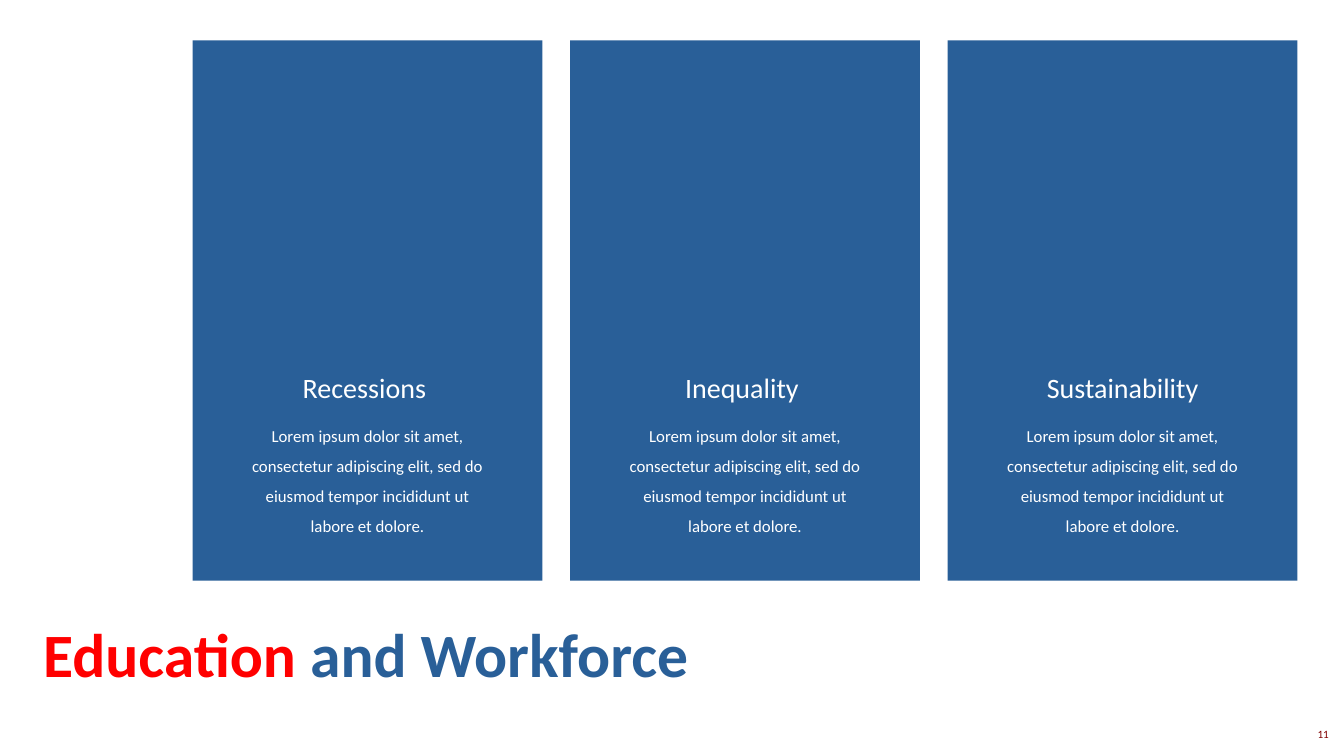
from dataclasses import dataclass

from pptx import Presentation
from pptx.dml.color import RGBColor
from pptx.enum.shapes import MSO_SHAPE
from pptx.enum.text import MSO_AUTO_SIZE, PP_ALIGN
from pptx.util import Inches, Pt

RECT = MSO_SHAPE.RECTANGLE
GROW = MSO_AUTO_SIZE.SHAPE_TO_FIT_TEXT
LEFT, MID, RIGHT = PP_ALIGN.LEFT, PP_ALIGN.CENTER, PP_ALIGN.RIGHT


@dataclass(frozen=True)
class Theme:
    font: str = "Calibri"
    blue: str = "295F98"
    red: str = "FF0000"
    white: str = "FFFFFF"
    maroon: str = "800000"
    title: int = 44
    head: int = 20
    body: int = 12
    small: int = 8


class Deck:
    """Draws on one slide; boxes are (left, top, width, height) in percent of the slide."""

    def __init__(self, theme):
        self.theme = theme
        self.prs = Presentation()
        self.prs.slide_width = Inches(13.33)
        self.prs.slide_height = Inches(7.5)
        self.slide = self.prs.slides.add_slide(self.prs.slide_layouts[6])

    def place(self, box):
        sides = (self.prs.slide_width, self.prs.slide_height) * 2
        return [round(side * share / 100) for side, share in zip(sides, box)]

    def panel(self, shapes, box, color):
        rect = shapes.add_shape(RECT, *self.place(box))
        rect.shadow.inherit = False
        rect.fill.solid()
        rect.fill.fore_color.rgb = RGBColor.from_string(color)
        rect.line.fill.background()

    def text(self, shapes, box, runs, size, align=LEFT, bold=False, space=1.0):
        """Adds one paragraph; runs are (words, color) pairs."""
        frame = shapes.add_textbox(*self.place(box)).text_frame
        frame.word_wrap = True
        frame.auto_size = GROW
        para = frame.paragraphs[0]
        para.alignment = align
        para.line_spacing = space
        style = {"name": self.theme.font, "size": Pt(size), "bold": bold}
        for words, color in runs:
            run = para.add_run()
            run.text = words
            for key, value in style.items():
                setattr(run.font, key, value)
            run.font.color.rgb = RGBColor.from_string(color)

    def card(self, left, head, body):
        look = self.theme
        shapes = self.slide.shapes.add_group_shape().shapes
        self.panel(shapes, (left, 5.33, CARD, 71.47), look.blue)
        self.text(shapes, (left, 48.4, CARD, 5.87), [(head, look.white)],
                  look.head, MID)
        self.text(shapes, (left + (CARD - BODY) / 2, 54.27, BODY, 17.47),
                  [(body, look.white)], look.body, MID, space=1.5)


START, CARD, BODY, STEP = 14.33, 26.03, 19.95, 28.09
HEADS = ["Recessions ", "Inequality ", "Sustainability"]
LOREM = ("Lorem ipsum dolor sit amet, consectetur adipiscing elit, "
         "sed do eiusmod tempor incididunt ut labore et dolore.")


def main():
    look = Theme()
    deck = Deck(look)
    shapes = deck.slide.shapes
    deck.text(shapes, (95.57, 95.6, 4.05, 3.2), [("11", look.maroon)],
              look.small, RIGHT)
    deck.text(shapes, (2.48, 80.8, 86.72, 11.2),
              [("Education ", look.red), ("and Workforce", look.blue)],
              look.title, bold=True)
    for col, head in enumerate(HEADS):
        deck.card(START + col * STEP, head, LOREM)
    deck.prs.save("out.pptx")


if __name__ == "__main__":
    main()
